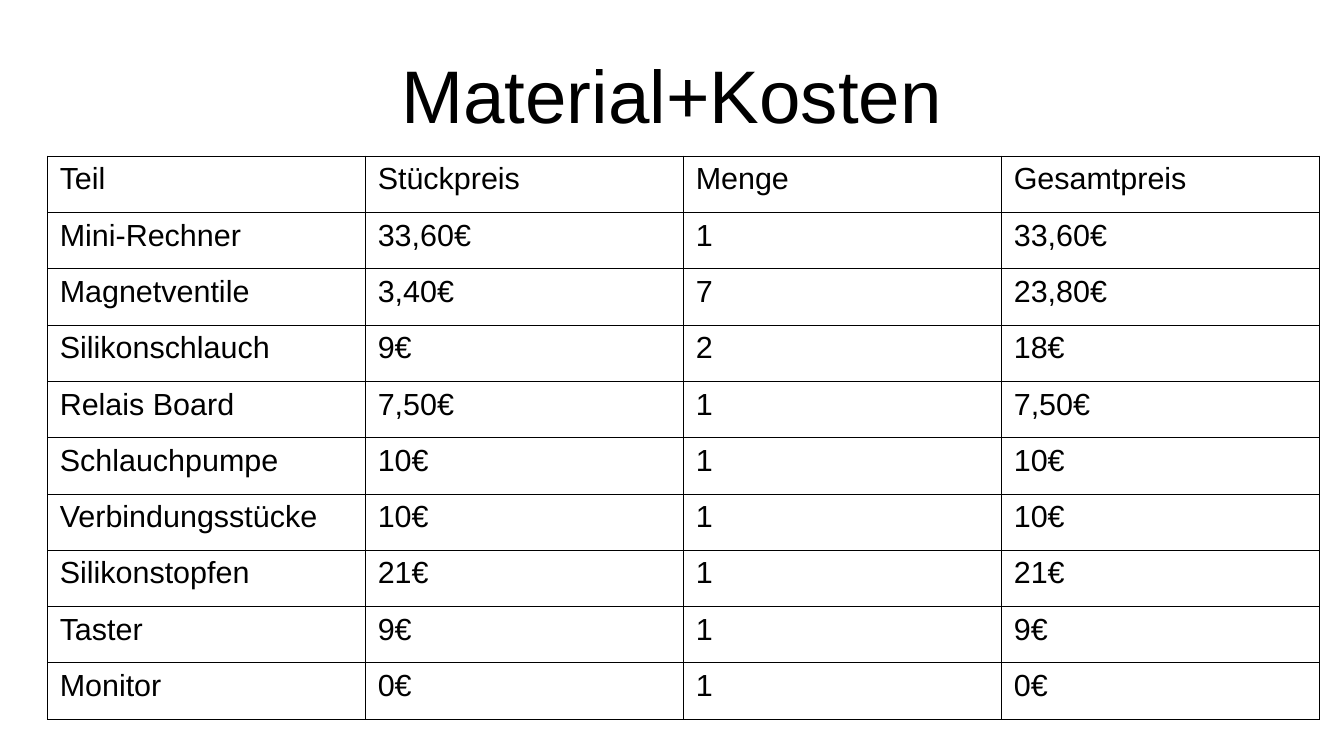
from lxml import etree
from pptx import Presentation
from pptx.dml.color import RGBColor
from pptx.enum.text import MSO_ANCHOR, PP_ALIGN
from pptx.oxml.ns import qn
from pptx.util import Inches, Pt

CENTER = PP_ALIGN.CENTER
MIDDLE = MSO_ANCHOR.MIDDLE
BLACK = RGBColor(0, 0, 0)
TITLE_ONLY = 5

COSTS = [
    ("Teil", "Stückpreis", "Menge", "Gesamtpreis"),
    ("Mini-Rechner", "33,60€", "1", "33,60€"),
    ("Magnetventile", "3,40€", "7", "23,80€"),
    ("Silikonschlauch", "9€", "2", "18€"),
    ("Relais Board", "7,50€", "1", "7,50€"),
    ("Schlauchpumpe", "10€", "1", "10€"),
    ("Verbindungsstücke", "10€", "1", "10€"),
    ("Silikonstopfen", "21€", "1", "21€"),
    ("Taster", "9€", "1", "9€"),
    ("Monitor", "0€", "1", "0€"),
]


class Deck:
    font = "Arial"
    color = BLACK
    border = Pt(0.57)

    def __init__(self, width, height):
        self.prs = Presentation()
        self.prs.slide_width = Inches(width)
        self.prs.slide_height = Inches(height)
        self.s = None

    def add_slide(self):
        self.s = self.prs.slides.add_slide(self.prs.slide_layouts[TITLE_ONLY])

    def format_text(self, tf, size):
        for p in tf.paragraphs:
            for r in p.runs:
                r.font.name = self.font
                r.font.size = Pt(size)
                r.font.color.rgb = self.color

    def title(self, text, left, top, width, height, size):
        sp = self.s.shapes.title
        sp.left, sp.top = Inches(left), Inches(top)
        sp.width, sp.height = Inches(width), Inches(height)
        tf = sp.text_frame
        tf.margin_left = tf.margin_top = tf.margin_right = tf.margin_bottom = 0
        tf.vertical_anchor = MIDDLE
        tf.text = text
        tf.paragraphs[0].alignment = CENTER
        self.format_text(tf, size)

    def cell_borders(self, cell):
        tc_pr = cell._tc.get_or_add_tcPr()
        for side in ("lnL", "lnR", "lnT", "lnB"):
            ln = etree.SubElement(tc_pr, qn(f"a:{side}"), w=str(self.border))
            fill = etree.SubElement(ln, qn("a:solidFill"))
            etree.SubElement(fill, qn("a:srgbClr"), val=str(self.color))

    def table(self, rows, left, top, width, height, size):
        frame = self.s.shapes.add_table(
            len(rows), len(rows[0]),
            Inches(left), Inches(top), Inches(width), Inches(height))
        table = frame.table
        table.first_row = table.horz_banding = False
        for i, row in enumerate(rows):
            for j, text in enumerate(row):
                cell = table.cell(i, j)
                cell.text_frame.text = text
                self.format_text(cell.text_frame, size)
                self.cell_borders(cell)
                cell.fill.background()


def main():
    deck = Deck(11.02, 6.2)
    deck.add_slide()
    deck.title("Material+Kosten", 0.55, 0.25, 9.92, 1.04, 44)
    deck.table(COSTS, 0.39, 1.28, 10.43, 4.62, 18)
    deck.prs.save("out.pptx")


if __name__ == "__main__":
    main()
